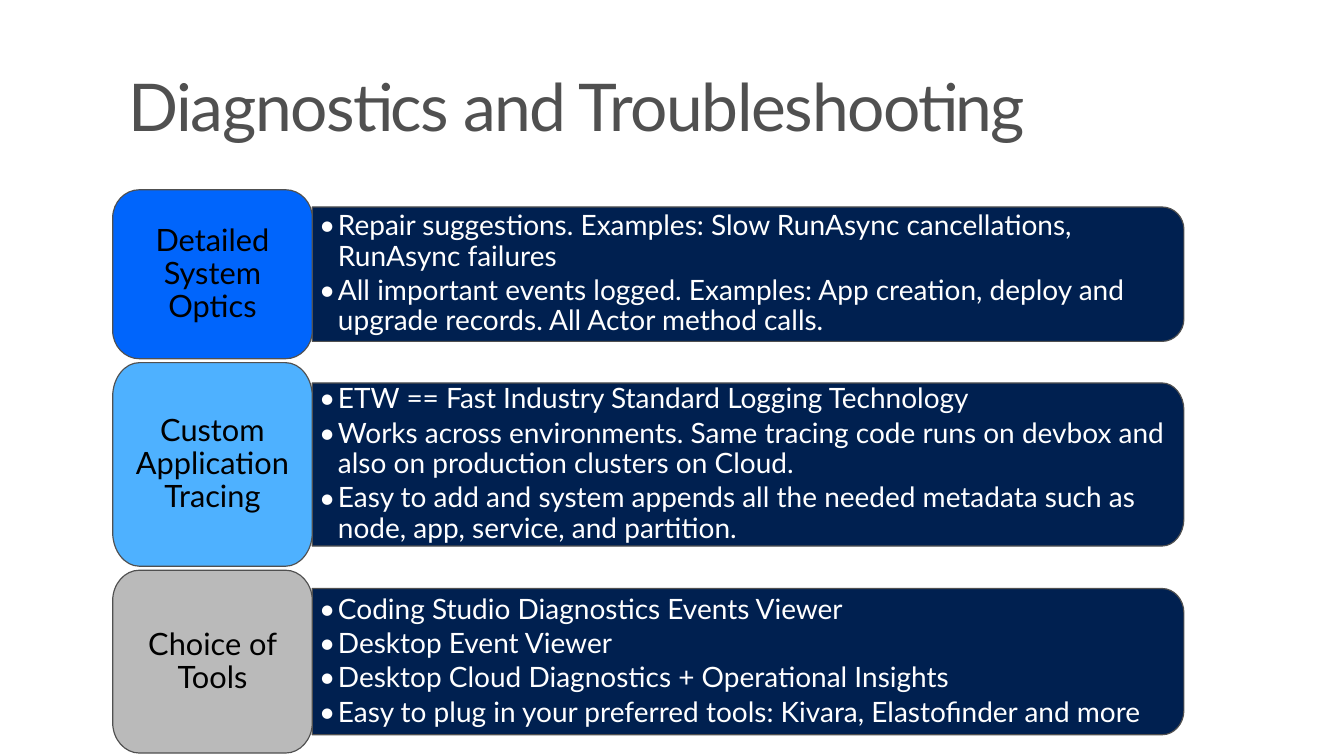
"""Build the diagnostics and troubleshooting slide."""
from dataclasses import dataclass

from lxml import etree
from pptx import Presentation
from pptx.dml.color import RGBColor
from pptx.enum import text as t
from pptx.oxml import ns
from pptx.util import Inches, Pt

FONT = "Lato"
GREY = "505050"
NAVY = "002050"
LABEL_LEFT, LABEL_WIDTH, LABEL_RADIUS = 1.14, 2.02, 0.27
PANEL_LEFT, PANEL_WIDTH, PANEL_RADIUS = 3.16, 8.82, 0.22
FIRST_TOP, ROW_GAP = 1.92, 0.04
CURVE = 0.55


@dataclass(frozen=True)
class Topic:
    label: str
    colour: str
    label_height: float
    panel_height: float
    points: tuple[str, ...]


TOPICS = (
    Topic("Detailed System Optics", "0065FC", 1.71, 1.36, (
        "Repair suggestions. Examples: Slow RunAsync cancellations, RunAsync failures",
        "All important events logged. Examples: App creation, deploy and upgrade records. "
        "All Actor method calls.",
    )),
    Topic("Custom Application Tracing", "4EB1FF", 2.06, 1.65, (
        "ETW == Fast Industry Standard Logging Technology",
        "Works across environments. Same tracing code runs on devbox and also on "
        "production clusters on Cloud.",
        "Easy to add and system appends all the needed metadata such as node, app, "
        "service, and partition.",
    )),
    Topic("Choice of Tools", "BABABA", 1.85, 1.48, (
        "Coding Studio Diagnostics Events Viewer",
        "Desktop Event Viewer",
        "Desktop Cloud Diagnostics + Operational Insights",
        "Easy to plug in your preferred tools: Kivara, Elastofinder and more",
    )),
)


def rgb(colour: str) -> RGBColor:
    return RGBColor.from_string(colour)


def write(frame, paragraphs: tuple[str, ...], *, size: float, colour: str,
          insets: tuple[float, float, float, float], align=t.PP_ALIGN.LEFT,
          anchor=t.MSO_ANCHOR.MIDDLE, after: float = 0, bullets: bool = False,
          tracking: int = 0) -> None:
    frame.word_wrap = True
    frame.auto_size = t.MSO_AUTO_SIZE.NONE
    frame.vertical_anchor = anchor
    (frame.margin_left, frame.margin_top,
     frame.margin_right, frame.margin_bottom) = map(Inches, insets)
    for index, words in enumerate(paragraphs):
        paragraph = frame.add_paragraph() if index else frame.paragraphs[0]
        paragraph.alignment = align
        paragraph.line_spacing = 0.9
        paragraph.space_after = Pt(after)
        run = paragraph.add_run()
        run.text = words
        run.font.name = FONT
        run.font.size = Pt(size)
        run.font.color.rgb = rgb(colour)
        if tracking:
            run.font._element.set("spc", str(tracking))
        if bullets:
            paragraph.level = 1
            properties = paragraph._p.get_or_add_pPr()
            properties.set("marL", str(Inches(0.19)))
            properties.set("indent", str(-Inches(0.19)))
            etree.SubElement(properties, ns.qn("a:buFont")).set("typeface", FONT)
            etree.SubElement(properties, ns.qn("a:buChar")).set("char", "•")


def round_corners(block) -> None:
    """Turn each diagonal segment of a clockwise outline into a quarter ellipse."""
    vertices = list(block._element.iter(ns.qn("a:pt")))
    for before, after in zip(vertices, vertices[1:]):
        x1, y1, x2, y2 = (int(v.get(axis)) for v in (before, after) for axis in "xy")
        if x1 == x2 or y1 == y2:
            continue
        corner_x, corner_y = (x2, y1) if (x2 - x1) * (y2 - y1) > 0 else (x1, y2)
        segment = after.getparent()
        curve = etree.Element(ns.qn("a:cubicBezTo"))
        for x, y in ((x1, y1), (x2, y2)):
            control = etree.SubElement(curve, ns.qn("a:pt"))
            control.set("x", str(round(x + CURVE * (corner_x - x))))
            control.set("y", str(round(y + CURVE * (corner_y - y))))
        segment.getparent().replace(segment, curve)
        curve.append(after)


def add_block(shapes, left: float, top: float, width: float, height: float, *,
              radius: float, fill: str, round_left: bool):
    right, bottom, ry = left + width, top + height, height / 6
    outline = [(right - radius, top), (right, top + ry),
               (right, bottom - ry), (right - radius, bottom)]
    if round_left:
        outline += [(left + radius, bottom), (left, bottom - ry),
                    (left, top + ry), (left + radius, top)]
    else:
        outline += [(left, bottom), (left, top)]
    vertices = [(Inches(x), Inches(y)) for x, y in outline]
    builder = shapes.build_freeform(*vertices[0])
    builder.add_line_segments(vertices[1:], close=True)
    block = builder.convert_to_shape()
    round_corners(block)
    block.shadow.inherit = False
    block.fill.solid()
    block.fill.fore_color.rgb = rgb(fill)
    block.line.color.rgb = rgb(GREY)
    block.line.width = Pt(0.85)
    return block


def add_topic(shapes, topic: Topic, top: float) -> None:
    panel_top = top + (topic.label_height - topic.panel_height) / 2
    panel = add_block(shapes, PANEL_LEFT, panel_top, PANEL_WIDTH, topic.panel_height,
                      radius=PANEL_RADIUS, fill=NAVY, round_left=False)
    write(panel.text_frame, topic.points, size=20.4, colour="FFFFFF",
          insets=(0.07, 0.11, 0.15, 0.11), after=3, bullets=True)
    label = add_block(shapes, LABEL_LEFT, top, LABEL_WIDTH, topic.label_height,
                      radius=LABEL_RADIUS, fill=topic.colour, round_left=True)
    write(label.text_frame, (topic.label,), size=22.4, colour="000000",
          insets=(0.22, 0.16, 0.22, 0.16), align=t.PP_ALIGN.CENTER)


def main() -> None:
    deck = Presentation()
    deck.slide_width, deck.slide_height = Inches(13.6), Inches(7.65)
    slide = deck.slides.add_slide(deck.slide_layouts[5])
    title = slide.shapes.title
    title.left, title.top = Inches(1.14), Inches(0.65)
    title.width, title.height = Inches(10.84), Inches(1.67)
    write(title.text_frame, ("Diagnostics and Troubleshooting",), size=48, colour=GREY,
          insets=(0.16, 0.1, 0.16, 0.1), anchor=t.MSO_ANCHOR.TOP, tracking=-100)
    top = FIRST_TOP
    for topic in TOPICS:
        add_topic(slide.shapes, topic, top)
        top += topic.label_height + ROW_GAP
    deck.save("out.pptx")


if __name__ == "__main__":
    main()
